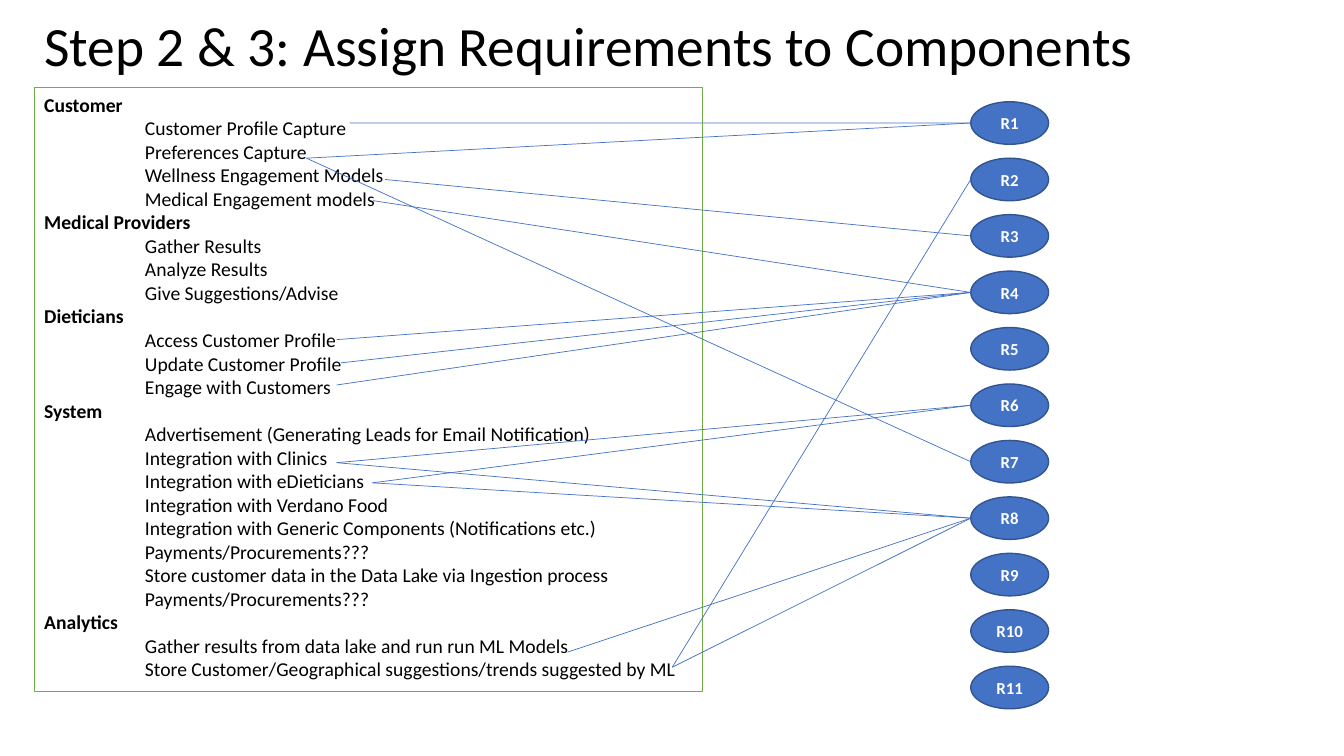
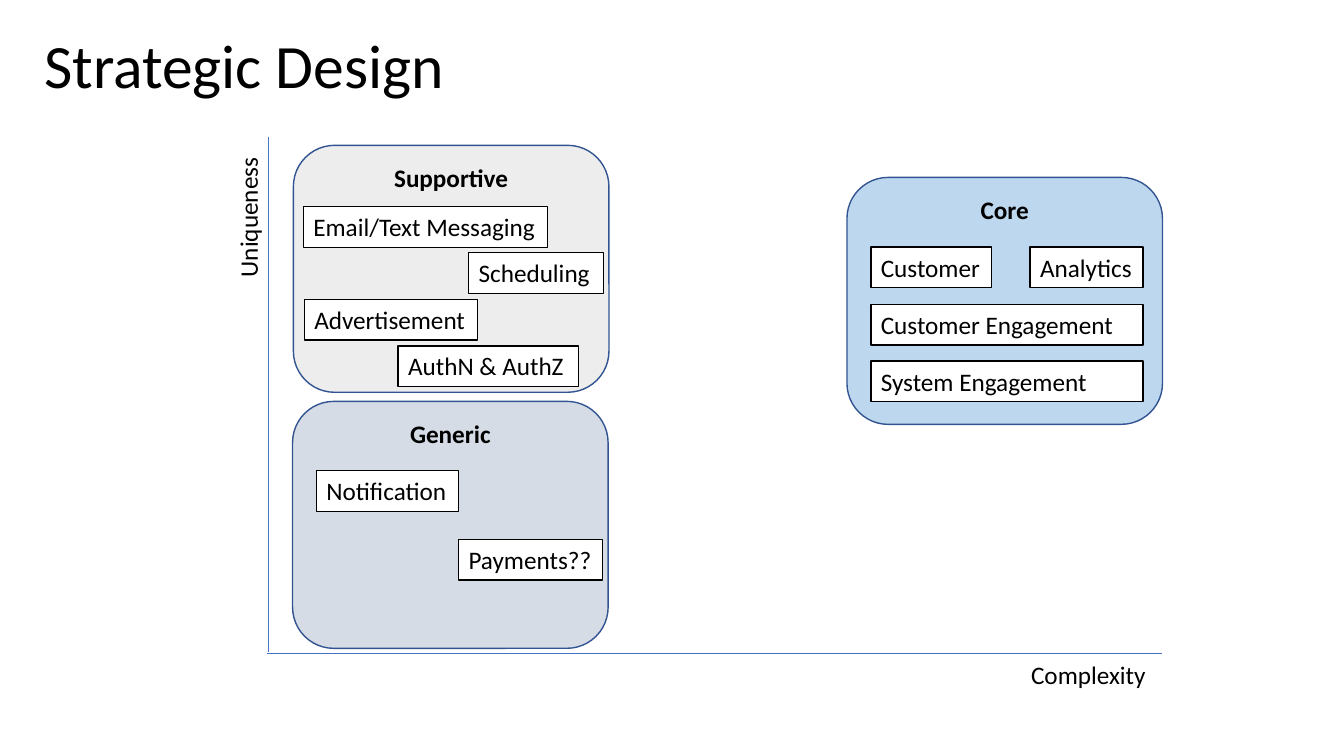
from lxml.etree import SubElement
from pptx import Presentation
from pptx.dml.color import RGBColor
from pptx.enum.shapes import MSO_CONNECTOR as Connector, MSO_SHAPE as Shape
from pptx.enum.text import MSO_ANCHOR as Anchor, PP_ALIGN as Align
from pptx.oxml.ns import qn
from pptx.util import Pt

FONT = "Calibri"
BLACK = RGBColor(0x00, 0x00, 0x00)
WHITE = RGBColor(0xFF, 0xFF, 0xFF)
BLUE = RGBColor(0x44, 0x72, 0xC4)
DARK_BLUE = RGBColor(0x32, 0x54, 0x91)
GREEN = RGBColor(0x70, 0xAD, 0x47)
LIGHT_BLUE = RGBColor(0xBD, 0xD7, 0xEE)
BLUE_GRAY = RGBColor(0xD6, 0xDC, 0xE5)
LIGHT_GRAY = RGBColor(0xED, 0xED, 0xED)

COMPONENTS = [
    ("Customer", [
        "Customer Profile Capture",
        "Preferences Capture",
        "Wellness Engagement Models",
        "Medical Engagement models",
    ]),
    ("Medical Providers", [
        "Gather Results",
        "Analyze Results",
        "Give Suggestions/Advise",
    ]),
    ("Dieticians", [
        "Access Customer Profile",
        "Update Customer Profile",
        "Engage with Customers",
    ]),
    ("System", [
        "Advertisement (Generating Leads for Email Notification)",
        "Integration with Clinics",
        "Integration with eDieticians",
        "Integration with Verdano Food",
        "Integration with Generic Components (Notifications etc.)",
        "Payments/Procurements???",
        "Store customer data in the Data Lake via Ingestion process",
        "Payments/Procurements???",
    ]),
    ("Analytics", [
        "Gather results from data lake and run run ML Models",
        "Store Customer/Geographical suggestions/trends suggested by ML",
    ]),
]
COMPONENT_BOX = (24.5, 62.6, 477.4, 431.3)
ITEM_INDENT = 72

REQUIREMENT_COUNT = 11
REQUIREMENT_LEFT, REQUIREMENT_TOP, REQUIREMENT_STEP = 693.4, 72.7, 40.32
REQUIREMENT_WIDTH, REQUIREMENT_HEIGHT = 55.6, 30.4

ASSIGNMENTS = [
    ((249.8, 87.8), [1]),
    ((218.9, 113), [1, 7]),
    ((275, 128.2), [3]),
    ((266.4, 143.3), [4]),
    ((240.5, 242.6), [4]),
    ((243.4, 259.2), [4]),
    ((240.5, 275), [4]),
    ((240.5, 330.5), [6, 8]),
    ((266, 344.9), [6, 8]),
    ((405.4, 465.8), [8]),
    ((480.2, 476.6), [2, 8]),
]

PANEL_SIZE = (225.4, 176.4)
TAG_HEIGHT = 29
PANELS = [
    ("Core", (605, 126.7), LIGHT_BLUE, [
        ("Customer", 622.1, 176.4, 86.4),
        ("Analytics", 735.8, 176.4, 80.6),
        ("Customer Engagement", 622.1, 217.4, 194.4),
        ("System Engagement", 622.1, 257.8, 194.4),
    ]),
    ("Generic", (209, 286.7), BLUE_GRAY, [
        ("Notification", 226.1, 336.2, 101.5),
        ("Payments??", 327.6, 385.2, 103),
    ]),
    ("Supportive", (209.6, 103.8), LIGHT_GRAY, [
        ("Email/Text Messaging", 216.7, 147.6, 174.2),
        ("Advertisement", 217.4, 213.8, 123.8),
        ("Scheduling", 334.8, 180.5, 96.5),
        ("AuthN & AuthZ", 284.4, 247, 128.9),
    ]),
]
AXES = [((191.6, 98), (191.6, 466)), ((190.8, 466.8), (830.2, 466.8))]
AXIS_LABELS = [
    ("Uniqueness", (126.7, 140.4, 100.8, 28.8), -90),
    ("Complexity", (729.4, 467.3, 97.2, 28.8), 0),
]


def points(values):
    return [Pt(value) for value in values]


def add_span(para, text, size, color=BLACK, bold=False):
    span = para.add_run()
    span.text = text
    span.font.name = FONT
    span.font.size = Pt(size)
    span.font.bold = bold
    span.font.color.rgb = color


def add_label(page, text, area, size, anchor=Anchor.TOP):
    box = page.shapes.add_textbox(*points(area))
    frame = box.text_frame
    frame.word_wrap = True
    frame.margin_right = 0
    frame.vertical_anchor = anchor
    add_span(frame.paragraphs[0], text, size)
    return box


def add_title(page, text, top, size):
    box = add_label(page, text, (24.5, top, 828, 68.4), size, Anchor.MIDDLE)
    box.text_frame.paragraphs[0].line_spacing = 0.9


def add_box(page, kind, area, fill, outline, anchor=Anchor.TOP, align=Align.LEFT):
    box = page.shapes.add_shape(kind, *points(area))
    box.shadow.inherit = False
    box.fill.solid()
    box.fill.fore_color.rgb = fill
    box.line.color.rgb = outline
    box.line.width = Pt(1)
    box.text_frame.word_wrap = True
    box.text_frame.vertical_anchor = anchor
    box.text_frame.paragraphs[0].alignment = align
    return box


def add_line(page, start, end):
    line = page.shapes.add_connector(Connector.STRAIGHT, *points(start + end))
    line.line.color.rgb = BLUE
    line.line.width = Pt(0.5)
    SubElement(line._element.spPr, qn("a:effectLst"))


def add_component_list(page):
    box = add_box(page, Shape.RECTANGLE, COMPONENT_BOX, WHITE, GREEN)
    frame = box.text_frame
    rows = [
        (text, text_index == 0)
        for heading, items in COMPONENTS
        for text_index, text in enumerate([heading] + items)
    ]
    for index, (text, is_heading) in enumerate(rows):
        para = frame.add_paragraph() if index else frame.paragraphs[0]
        para.alignment = Align.LEFT
        if not is_heading:
            para._p.get_or_add_pPr().set("marL", str(Pt(ITEM_INDENT)))
        add_span(para, text, 14, bold=is_heading)


def requirement_top(number):
    return REQUIREMENT_TOP + (number - 1) * REQUIREMENT_STEP


def build_assignment_page(page):
    add_title(page, "Step 2 & 3: Assign Requirements to Components", 0.7, 39.6)
    add_component_list(page)
    for number in range(1, REQUIREMENT_COUNT + 1):
        area = (REQUIREMENT_LEFT, requirement_top(number), REQUIREMENT_WIDTH, REQUIREMENT_HEIGHT)
        oval = add_box(page, Shape.OVAL, area, BLUE, DARK_BLUE, Anchor.MIDDLE, Align.CENTER)
        add_span(oval.text_frame.paragraphs[0], f"R{number}", 12, WHITE, True)
    for start, numbers in ASSIGNMENTS:
        for number in numbers:
            middle = requirement_top(number) + REQUIREMENT_HEIGHT / 2
            add_line(page, start, (REQUIREMENT_LEFT, middle))


def build_strategy_page(page):
    add_title(page, "Strategic Design", 14.4, 44)
    for start, end in AXES:
        add_line(page, start, end)
    for text, area, rotation in AXIS_LABELS:
        add_label(page, text, area, 18).rotation = rotation
    for name, corner, fill, tags in PANELS:
        panel = add_box(page, Shape.ROUNDED_RECTANGLE, corner + PANEL_SIZE, fill, DARK_BLUE,
                        align=Align.CENTER)
        add_span(panel.text_frame.paragraphs[0], name, 18, bold=True)
        for text, left, top, width in tags:
            tag = add_box(page, Shape.RECTANGLE, (left, top, width, TAG_HEIGHT), WHITE, BLACK)
            tag.text_frame.margin_right = 0
            add_span(tag.text_frame.paragraphs[0], text, 18)


def main():
    deck = Presentation()
    deck.slide_width, deck.slide_height = Pt(960), Pt(540)
    for build in (build_assignment_page, build_strategy_page):
        build(deck.slides.add_slide(deck.slide_layouts[6]))
    deck.save("out.pptx")


if __name__ == "__main__":
    main()
